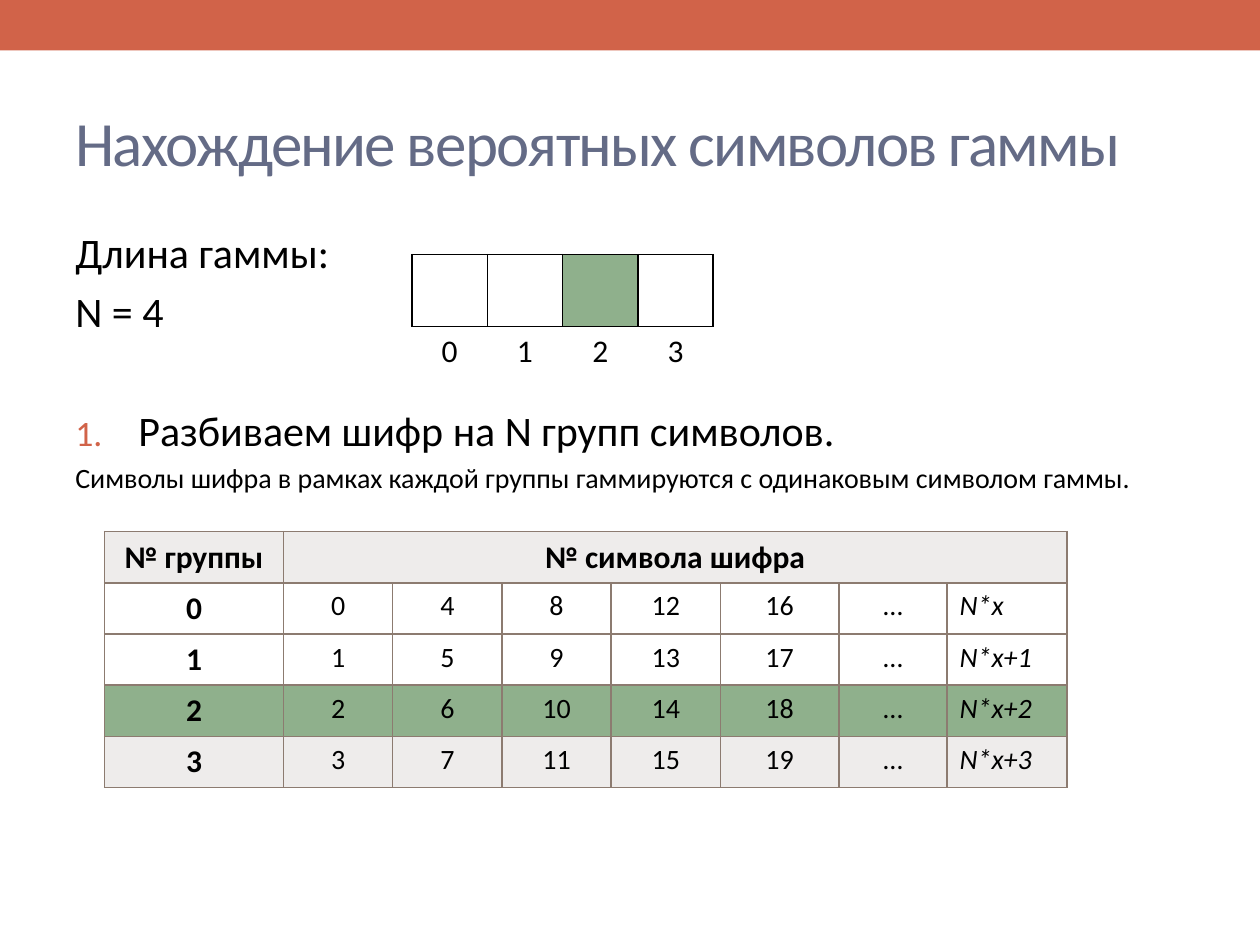
import pptx
import pptx.dml.color
import pptx.enum.shapes
import pptx.enum.text
import pptx.oxml
import pptx.oxml.ns
import pptx.util

COLS, ROWS = 100, 75
UNIT = pptx.util.Inches(0.1)
FONT = "Calibri"
ORANGE, SLATE, BLACK = "D16349", "646B86", "000000"
GREEN, PALE, BROWN = "8FB08C", "EEECEB", "8C7B70"
CENTER = pptx.enum.text.PP_ALIGN.CENTER
MIDDLE = pptx.enum.text.MSO_ANCHOR.MIDDLE


def grid(*counts):
    """Turn counts of grid columns or rows into lengths."""
    return [pptx.util.Emu(round(n * UNIT)) for n in counts]


def paint(target, color):
    """Fill a shape or cell with a hex colour, or clear it."""
    if color:
        target.fill.solid()
        target.fill.fore_color.rgb = pptx.dml.color.RGBColor.from_string(color)
    else:
        target.fill.background()


def add_run(p, text, size, color=BLACK, bold=False, italic=False):
    """Append a styled run to a paragraph."""
    r = p.add_run()
    r.text = text
    r.font.name, r.font.size = FONT, pptx.util.Pt(size)
    r.font.bold, r.font.italic = bold, italic
    r.font.color.rgb = pptx.dml.color.RGBColor.from_string(color)
    return r


def add_element(parent, tag, **attrs):
    """Append a DrawingML element with attributes."""
    el = pptx.oxml.parse_xml(f"<a:{tag} {pptx.oxml.ns.nsdecls('a')}/>")
    for name, value in attrs.items():
        el.set(name, str(value))
    parent.append(el)
    return el


def add_number(p):
    """Make a paragraph a numbered item with a hanging indent."""
    pPr = p._p.get_or_add_pPr()
    hang = pptx.util.Inches(0.5)
    pPr.set("marL", str(hang))
    pPr.set("indent", str(-hang))
    add_element(add_element(pPr, "buClr"), "srgbClr", val=ORANGE)
    add_element(pPr, "buSzPct", val=85000)
    add_element(pPr, "buFont", typeface="+mj-lt")
    add_element(pPr, "buAutoNum", type="arabicPeriod")


def add_text(s, place, lines):
    """Add a text box of (text, size, color) lines and return its frame."""
    tf = s.shapes.add_textbox(*grid(*place)).text_frame
    tf.word_wrap = True
    for i, (text, size, color) in enumerate(lines):
        p = tf.add_paragraph() if i else tf.paragraphs[0]
        if i:
            p.space_before = pptx.util.Pt(0.2 * size)
        add_run(p, text, size, color)
    return tf


def add_table(s, left, top, widths, heights):
    """Add a plain table with given column and row sizes."""
    place = grid(left, top, sum(widths), sum(heights))
    table = s.shapes.add_table(len(heights), len(widths), *place).table
    table.first_row = table.horz_banding = False
    for column, width in zip(table.columns, grid(*widths)):
        column.width = width
    for row, height in zip(table.rows, grid(*heights)):
        row.height = height
    return table


def style_cell(cell, fill, line, sides="LRTB"):
    """Rule the given sides of a cell and fill it."""
    tcPr = cell._tc.get_or_add_tcPr()
    for side in "LRTB":
        ln = add_element(tcPr, f"ln{side}", w=pptx.util.Pt(1))
        if side in sides:
            add_element(add_element(ln, "solidFill"), "srgbClr", val=line)
        else:
            add_element(ln, "noFill")
    paint(cell, fill)


def write_cell(cell, text, size, align=CENTER, **style):
    """Write one run into a cell."""
    p = cell.text_frame.paragraphs[0]
    p.alignment = align
    add_run(p, text, size, **style)


def add_gamma(s, length, marked):
    """Draw the key cells with their indexes below."""
    table = add_table(s, 32.7, 20.2, [5.98] * length, [5.7] * 2)
    for i in range(length):
        style_cell(table.cell(0, i), GREEN if i == marked else None, BLACK)
        style_cell(table.cell(1, i), None, BLACK, "T")
        write_cell(table.cell(1, i), str(i), 18)


def add_groups(s, length, marked):
    """Draw the table of cipher symbol numbers by group."""
    widths = [14.2] + [8.67] * 4 + [9.4, 8.6, 9.5]
    table = add_table(s, 8.3, 42.2, widths, [4.06] * (length + 1))
    fills = [PALE] + [None] * (length - 1) + [PALE]
    fills[marked + 1] = GREEN
    for row, fill in zip(table.rows, fills):
        for cell in row.cells:
            style_cell(cell, fill, BROWN)
    table.cell(0, 1).merge(table.cell(0, len(widths) - 1))
    for col, text in enumerate(["№ группы", "№ символа шифра"]):
        table.cell(0, col).vertical_anchor = MIDDLE
        write_cell(table.cell(0, col), text, 18, bold=True)
    for group in range(length):
        row = group + 1
        write_cell(table.cell(row, 0), str(group), 18, bold=True)
        numbers = [str(group + length * k) for k in range(5)] + ["…"]
        for col, text in enumerate(numbers, 1):
            write_cell(table.cell(row, col), text, 16)
        formula = f"N*x+{group}" if group else "N*x"
        write_cell(table.cell(row, 7), formula, 16, None, italic=True)


def main():
    """Build the slide and save it."""
    prs = pptx.Presentation()
    prs.slide_width, prs.slide_height = grid(COLS, ROWS)
    s = prs.slides.add_slide(prs.slide_layouts[6])
    sp = s.shapes.add_shape(pptx.enum.shapes.MSO_SHAPE.RECTANGLE, *grid(0, 0, COLS, 4))
    sp.shadow.inherit = False
    paint(sp, ORANGE)
    sp.line.fill.background()
    tf = add_text(s, (5, 5.8, 90, 10.8),
                  [("Нахождение вероятных символов гаммы", 36, SLATE)])
    tf.vertical_anchor = MIDDLE
    tf.paragraphs[0].runs[0].font._element.set("spc", "-100")
    add_text(s, (5, 17.5, 26, 10), [("Длина гаммы:", 24, BLACK), ("N = 4", 24, BLACK)])
    tf = add_text(s, (5, 31.6, 90, 9), [
        ("Разбиваем шифр на N групп символов.", 24, BLACK),
        ("Символы шифра в рамках каждой группы гаммируются с одинаковым символом гаммы.",
         16, BLACK)])
    add_number(tf.paragraphs[0])
    add_gamma(s, 4, 2)
    add_groups(s, 4, 2)
    prs.save("out.pptx")


if __name__ == "__main__":
    main()
